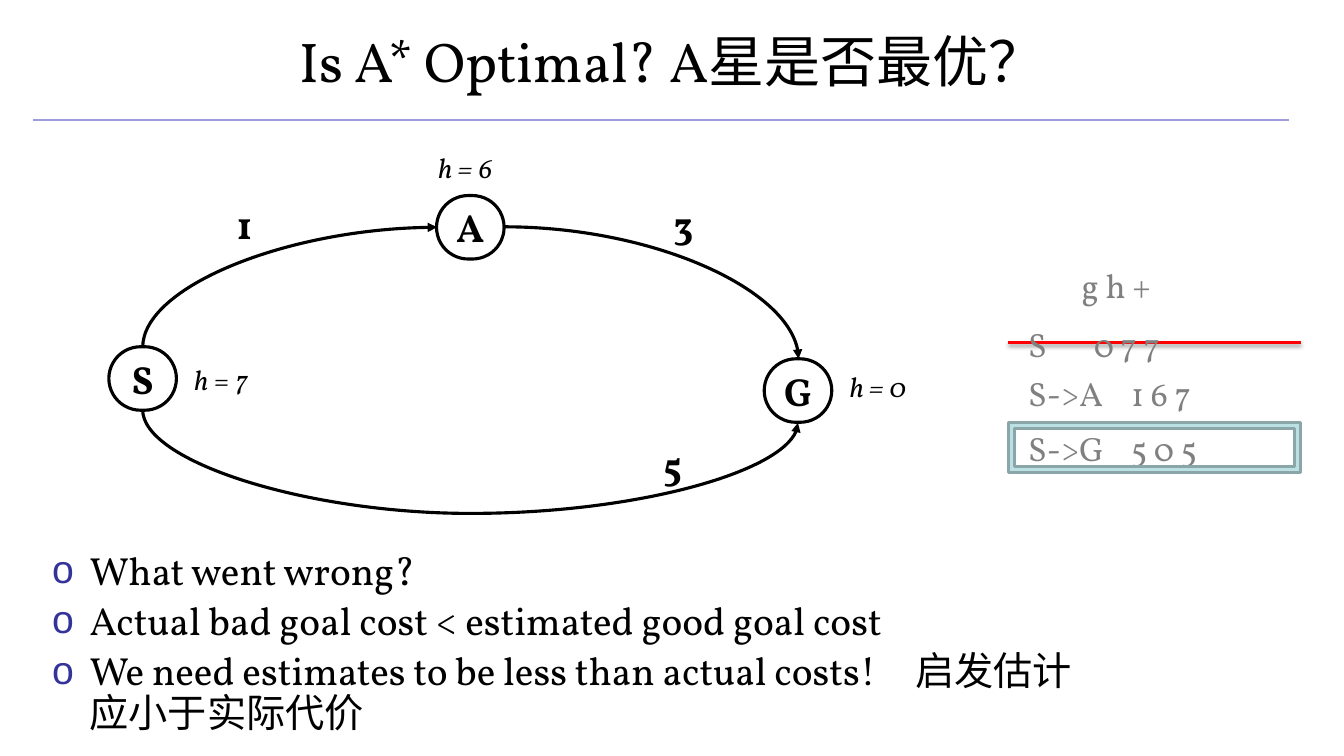
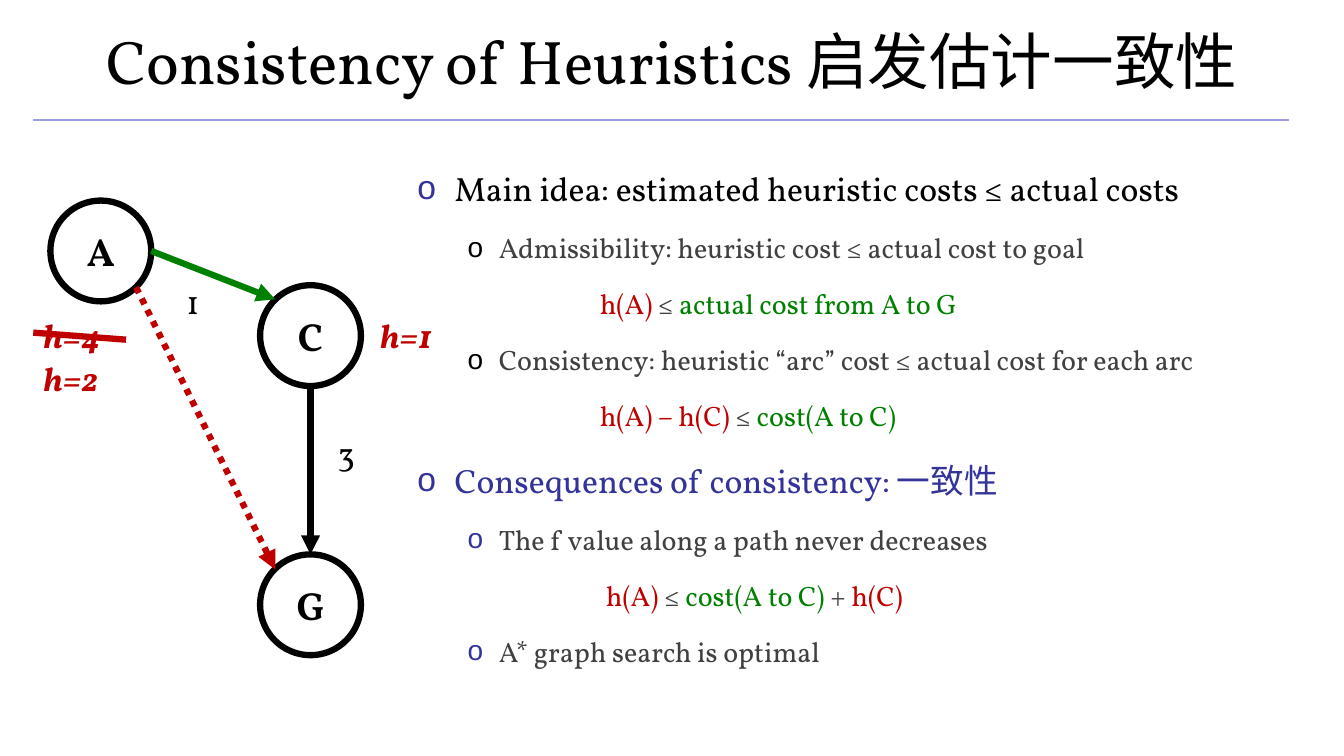
from lxml import etree
from pptx import Presentation
from pptx.dml.color import RGBColor
from pptx.enum.dml import MSO_LINE
from pptx.enum.shapes import MSO_CONNECTOR, MSO_SHAPE
from pptx.enum.text import MSO_ANCHOR, PP_ALIGN
from pptx.oxml.ns import qn
from pptx.util import Pt

PX = 9144  # EMU per px, 100 px to the inch
WIDE, HIGH = 1333, 750
FACE = "Vollkorn"
BLACK = RGBColor(0x00, 0x00, 0x00)
WHITE = RGBColor(0xFF, 0xFF, 0xFF)
NAVY = RGBColor(0x33, 0x33, 0x99)
LILAC = RGBColor(0x9C, 0x9C, 0xDF)
GRAY = RGBColor(0x80, 0x80, 0x80)
DARK = RGBColor(0x40, 0x40, 0x40)
WINE = RGBColor(0xC0, 0x00, 0x00)
GREEN = RGBColor(0x00, 0x80, 0x00)
RED = RGBColor(0xFF, 0x00, 0x00)
AQUA = RGBColor(0xBB, 0xE0, 0xE3)
TEAL = RGBColor(0x8A, 0xA6, 0xA8)
MIDDLE, TOP = MSO_ANCHOR.MIDDLE, MSO_ANCHOR.TOP
CENTER, LEFT = PP_ALIGN.CENTER, PP_ALIGN.LEFT
STRAIGHT, CURVE = MSO_CONNECTOR.STRAIGHT, MSO_CONNECTOR.CURVE
PILL, OVAL, FRAME = MSO_SHAPE.ROUNDED_RECTANGLE, MSO_SHAPE.OVAL, MSO_SHAPE.FRAME
DOTS = MSO_LINE.ROUND_DOT

BOLD = {"size": Pt(28), "bold": True}
SLANT = {"size": Pt(20), "italic": True}
PLAIN = {"size": Pt(24)}
MARK = {"size": Pt(24), "bold": True, "italic": True, "ink": WINE}
STEP = {"size": Pt(24), "ink": GRAY}


def px(*nums):
    return [round(n * PX) for n in nums]


def add(node, tag, **atts):
    return etree.SubElement(node, qn(tag), {k: str(v) for k, v in atts.items()})


def write(par, runs, look):
    """Add runs to a paragraph; each is a string or (string, changes to look)."""
    for item in [runs] if isinstance(runs, str) else runs:
        text, more = (item, {}) if isinstance(item, str) else item
        run = par.add_run()
        run.text = text
        vals = {"name": FACE, "ink": BLACK, **look, **more}
        run.font.color.rgb = vals.pop("ink")
        for key, val in vals.items():
            setattr(run.font, key, val)


class Deck:
    def __init__(self):
        self.show = Presentation()
        self.show.slide_width, self.show.slide_height = px(WIDE, HIGH)
        self.slide = None

    def page(self, title, size):
        """Start a slide with its title and rule."""
        self.slide = self.show.slides.add_slide(self.show.slide_layouts[6])
        self.link(33, 119, 1278, 119, LILAC, 1, head=False)
        self.text(0, 0, WIDE, 119, title, {"size": Pt(size)}, CENTER, MIDDLE)

    def box(self, x, y, w, h, anchor=TOP):
        frame = self.slide.shapes.add_textbox(*px(x, y, w, h)).text_frame
        frame.word_wrap = True
        frame.vertical_anchor = anchor
        return frame

    def text(self, x, y, w, h, runs, look, align=LEFT, anchor=TOP, tab=None):
        par = self.box(x, y, w, h, anchor).paragraphs[0]
        par.alignment = align
        if tab:
            tabs = add(par._p.get_or_add_pPr(), "a:tabLst")
            add(tabs, "a:tab", pos=px(tab)[0], algn="l")
        write(par, runs, look)

    def list(self, x, y, w, h, rows, space):
        """Each row is (runs, size, ink, left, hang, bullet ink or None)."""
        frame = self.box(x, y, w, h)
        for num, (runs, size, ink, left, hang, dot) in enumerate(rows):
            par = frame.add_paragraph() if num else frame.paragraphs[0]
            par.line_spacing = space
            if num:
                par.space_before = Pt(size * 0.2)
            props = par._p.get_or_add_pPr()
            props.set("marL", str(px(left)[0]))
            props.set("indent", str(px(-hang)[0]))
            if dot is None:
                add(props, "a:buNone")
            else:
                add(add(props, "a:buClr"), "a:srgbClr", val=dot)
                add(props, "a:buFont", typeface="Arial")
                add(props, "a:buChar", char="o")
            write(par, runs, {"size": Pt(size), "ink": ink})

    def shape(self, kind, x, y, w, h, fill, ink, width):
        form = self.slide.shapes.add_shape(kind, *px(x, y, w, h))
        form.shadow.inherit = False
        if fill is None:
            form.fill.background()
        else:
            form.fill.solid()
            form.fill.fore_color.rgb = fill
        form.line.color.rgb = ink
        form.line.width = Pt(width)
        return form

    def node(self, kind, x, y, w, h, name, fill, width):
        form = self.shape(kind, x, y, w, h, fill, BLACK, width)
        if kind == PILL:
            form.adjustments[0] = 0.5
        form.text_frame.vertical_anchor = MIDDLE
        par = form.text_frame.paragraphs[0]
        par.alignment = CENTER
        write(par, name, BOLD)

    def link(self, x1, y1, x2, y2, ink, width, head=True, dash=None,
             kind=STRAIGHT, shade=False):
        line = self.slide.shapes.add_connector(kind, *px(x1, y1, x2, y2))
        line.line.color.rgb = ink
        line.line.width = Pt(width)
        if dash:
            line.line.dash_style = dash
        if head:
            add(line.line._get_or_add_ln(), "a:tailEnd", type="triangle")
        effect = add(line._element.spPr, "a:effectLst")
        if shade:
            cast = add(effect, "a:outerShdw", blurRad=Pt(3.1), dist=Pt(1.6),
                       dir=5400000, rotWithShape=0)
            add(add(cast, "a:srgbClr", val=BLACK), "a:alpha", val=38000)
        return line

    def curve(self, x, y, w, h, turn=0, flip="", bend=None):
        """Curved arrow in a box turned by degrees; bend makes it an S or U."""
        line = self.link(x, y, x + w, y + h, BLACK, 2.25, kind=CURVE)
        props = line._element.spPr
        place = props.find(qn("a:xfrm"))
        place.set("rot", str(turn * 60000))
        for side in flip:
            place.set("flip" + side, "1")
        geom = props.find(qn("a:prstGeom"))
        if bend is None:
            geom.set("prst", "curvedConnector2")
        else:
            add(geom.find(qn("a:avLst")), "a:gd", name="adj1",
                fmla=f"val {round(bend * 100000)}")


def optimal(deck):
    deck.page("Is A* Optimal? A星是否最优？", 40)
    points = ["What went wrong?",
              "Actual bad goal cost < estimated good goal cost",
              "We need estimates to be less than actual costs!　启发估计应小于实际代价"]
    deck.list(42, 542, 1047, 158,
              [(point, 28, BLACK, 37, 37, NAVY) for point in points], 0.9)
    for name, x, y in [("A", 433, 194), ("G", 758, 356), ("S", 108, 344)]:
        deck.node(PILL, x, y, 67, 63, name, None, 2.25)
    for cost, x, y in [("1", 225, 194), ("3", 658, 194), ("5", 648, 433)]:
        deck.text(x, y, 50, 57, cost, BOLD)
    for value, x, y in [("6", 425, 144), ("0", 833, 362)]:
        deck.text(x, y, 100, 44, f"h = {value}", SLANT)
    deck.text(183, 355, 92, 44, ["h", (" = ", {"italic": False}), "7"], SLANT)
    deck.curve(460, 88, 13, 650, 270, "H", 7.92)
    deck.curve(228, 139, 119, 292, 90, "HV")
    deck.curve(500, 225, 292, 131)

    deck.link(1000, 340, 1290, 340, RED, 2, head=False, shade=True)
    steps = [("\tg h +", 258, 53), ("S\t0 7 7", 316, 65),
             ("S->A\t1 6 7", 365, 102), ("S->G\t5 0 5", 420, 102)]
    for step, y, tab in steps:
        deck.text(1010, y, 290, 50, step, STEP, tab=tab)
    deck.shape(FRAME, 1000, 419, 290, 50, AQUA, TEAL, 2)


def consistent(deck):
    deck.page("Consistency of Heuristics 启发估计一致性", 44)

    def head(text, ink):
        return text, 24, ink, 37, 37, NAVY

    def item(text, dot):
        return text, 20, DARK, 81, 31, dot

    def rule(*runs, left=181):
        return [(t, {"ink": c}) for t, c in runs], 20, DARK, left, 0, None

    deck.list(404, 142, 929, 333, [
        head("Main idea: estimated heuristic costs ≤ actual costs", BLACK),
        item("Admissibility: heuristic cost ≤ actual cost to goal", BLACK),
        rule(("h(A) ", WINE), ("≤ ", DARK), ("actual cost from A to G", GREEN)),
        item("Consistency: heuristic “arc” cost ≤ actual cost for each arc", BLACK),
        rule(("h(A) – h(C) ", WINE), ("≤ ", DARK), ("cost(A to C)", GREEN)),
        head("Consequences of consistency: 一致性", NAVY),
        item("The f value along a path never decreases", NAVY),
        rule(("h(A) ", WINE), ("≤ ", DARK), ("cost(A to C) ", GREEN),
             ("+ ", DARK), ("h(C)", WINE), left=187),
        item("A* graph search is optimal", NAVY),
    ], 1.5)

    deck.link(308, 383, 308, 550, BLACK, 4.5)
    for name, x, y in [("A", 50, 199), ("C", 258, 283), ("G", 258, 550)]:
        deck.node(OVAL, x, y, 100, 100, name, WHITE, 4.5)
    for cost, x, y in [("3", 325, 425), ("1", 175, 274)]:
        deck.text(x, y, 37, 50, cost, PLAIN)
    for value, x, y in [("4", 33, 308), ("1", 367, 308), ("2", 33, 350)]:
        deck.text(x, y, 84, 50, f"h={value}", MARK)
    deck.link(135, 285, 273, 565, WINE, 4.5, dash=DOTS)
    deck.link(150, 249, 273, 297, GREEN, 4.5)
    deck.link(33, 330, 125, 337, WINE, 4.5, head=False)


def main():
    deck = Deck()
    optimal(deck)
    consistent(deck)
    deck.show.save("out.pptx")


if __name__ == "__main__":
    main()
